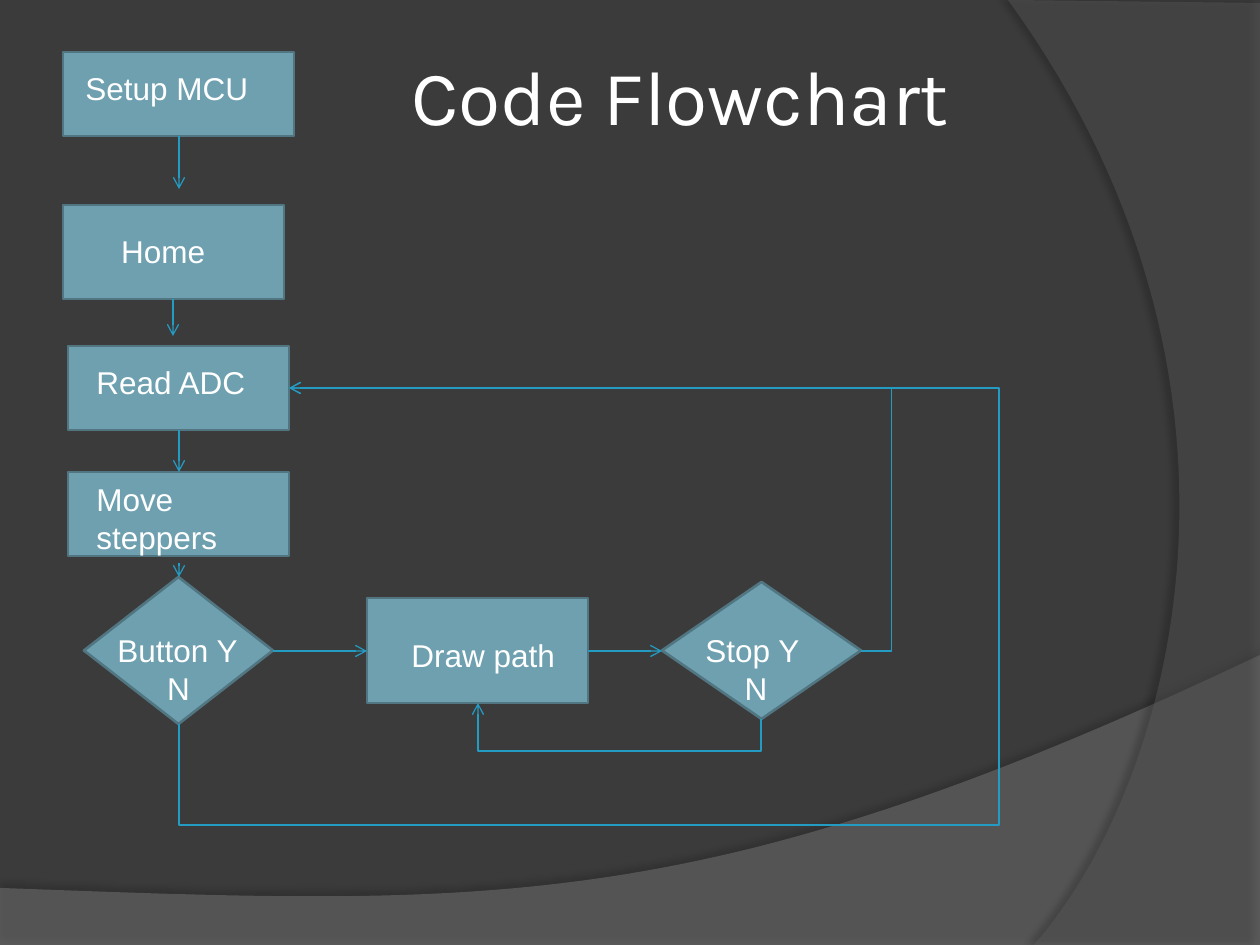
import pptx
import pptx.util
import pptx.dml.color
import pptx.enum.shapes
import pptx.enum.text
import pptx.oxml
from pptx.oxml.ns import nsdecls, qn
from lxml import etree

SCALE = 914400 / 126  # EMU per px
THEME = dict(bg="3B3B3B", box="6EA0B0", edge="517682", arrow="239BC2", text="FFFFFF",
             wave="7F7F7F", arc="5E5E5E", shadow="000000",
             body_font="Arial", body=18, title_font="Karla", title=44)

# Content: shape kind, shape box, text box, (line, centred) paragraphs
NODES = [
    ("RECTANGLE", (63, 52, 231, 84), (73, 63, 199, 53), [("Setup MCU", False)]),
    ("RECTANGLE", (63, 205, 221, 94), (73, 226, 189, 53), [("Home ", True)]),
    ("RECTANGLE", (68, 346, 221, 84), (84, 357, 189, 53), [("Read ADC", False)]),
    ("RECTANGLE", (68, 472, 221, 84), (84, 474, 189, 89), [("Move steppers", False)]),
    ("FLOWCHART_DECISION", (84, 577, 189, 147), (105, 625, 147, 89),
     [("Button Y", False), ("N", True)]),
    ("RECTANGLE", (367, 598, 221, 105), (399, 630, 231, 50), [("Draw path", False)]),
    ("FLOWCHART_DECISION", (662, 582, 199, 137), (693, 625, 126, 89),
     [("Stop Y", False), ("N", True)]),
]
TITLE = ("Code Flowchart", (399, 42, 756, 106))

# Arrow routes: every corner from start to head
ROUTES = [
    [(179, 136), (179, 189)],
    [(173, 299), (173, 336)],
    [(179, 430), (179, 472)],
    [(179, 563), (179, 577)],
    [(273, 651), (367, 651)],
    [(588, 651), (662, 651)],
    [(761, 719), (761, 751), (478, 751), (478, 703)],
    [(861, 651), (892, 651), (892, 388), (289, 388)],
    [(179, 724), (179, 825), (999, 825), (999, 388), (289, 388)],
]

# Backdrop: straight corners, Bezier curve, fill, opacity %, shadow (opacity %, pt, pt, degrees)
BACKDROP = [
    ([(0, 946), (1260, 946)], [(1260, 655), (704, 919), (493, 906), (0, 888)],
     "wave", 45, (35, 4, 3.5, 270)),
    ([(1260, 3), (1260, 945)], [(1034, 945), (1178, 780), (1283, 378), (1008, 0)],
     "arc", 40, (45, 4, 4, 180)),
]


def emu(px):
    return pptx.util.Emu(round(px * SCALE))


def rgb(name):
    return pptx.dml.color.RGBColor.from_string(THEME[name])


def bezier(a, b, c, d, steps=60):
    for i in range(steps + 1):
        t = i / steps
        u = 1 - t
        yield tuple(u**3 * p + 3 * u * u * t * q + 3 * u * t * t * r + t**3 * v
                    for p, q, r, v in zip(a, b, c, d))


def add_backdrop(s, corners, curve, color, opacity, shadow):
    points = [(round(x * SCALE), round(y * SCALE)) for x, y in [*corners, *bezier(*curve)]]
    fb = s.shapes.build_freeform(*points[0], scale=1.0)
    fb.add_line_segments(points[1:], close=True)
    sp = fb.convert_to_shape()
    sp.fill.solid()
    sp.fill.fore_color.rgb = rgb(color)
    sp.line.fill.background()
    clr = sp._element.spPr.find(qn("a:solidFill"))[0]
    etree.SubElement(clr, qn("a:alpha"), val=str(opacity * 1000))
    alpha, blur, dist, angle = shadow
    sp._element.spPr.append(pptx.oxml.parse_xml(
        f'<a:effectLst {nsdecls("a")}><a:outerShdw blurRad="{blur * 12700}" '
        f'dist="{int(dist * 12700)}" dir="{angle * 60000}" algn="ctr" rotWithShape="0">'
        f'<a:srgbClr val="{THEME["shadow"]}"><a:alpha val="{alpha * 1000}"/></a:srgbClr>'
        f'</a:outerShdw></a:effectLst>'))


def add_text(s, box, lines, style):
    tf = s.shapes.add_textbox(*map(emu, box)).text_frame
    tf.word_wrap = True
    for i, (line, centred) in enumerate(lines):
        p = tf.add_paragraph() if i else tf.paragraphs[0]
        p.text = line
        p.font.name = THEME[style + "_font"]
        p.font.size = pptx.util.Pt(THEME[style])
        p.font.color.rgb = rgb("text")
        if centred:
            p.alignment = pptx.enum.text.PP_ALIGN.CENTER


def add_node(s, kind, box, text_box, lines):
    sp = s.shapes.add_shape(pptx.enum.shapes.MSO_SHAPE[kind], *map(emu, box))
    sp.shadow.inherit = False
    sp.fill.solid()
    sp.fill.fore_color.rgb = rgb("box")
    sp.line.color.rgb = rgb("edge")
    sp.line.width = pptx.util.Pt(1.5)
    add_text(s, text_box, lines, "body")


def bend(c, route):
    """Shape an elbow connector so that it turns at the route's inner corners."""
    (x0, y0), (x1, y1) = route[0], route[-1]
    w, h = abs(x1 - x0), abs(y1 - y0)
    flips = {"flipH": x1 < x0, "flipV": y1 < y0}
    xfrm = c._element.spPr.find(qn("a:xfrm"))
    axis = 0
    if route[1][0] == x0:  # leaves vertically: quarter turn about the centre
        axis = 1
        flips = {"flipH": y1 < y0, "flipV": x1 > x0}
        cx, cy = (x0 + x1) / 2, (y0 + y1) / 2
        c.left, c.top, c.width, c.height = map(emu, (cx - h / 2, cy - w / 2, h, w))
        xfrm.set("rot", "5400000")
    for name, on in flips.items():
        xfrm.set(name, str(int(on)))
    geom = c._element.spPr.find(qn("a:prstGeom"))
    geom.set("prst", f"bentConnector{len(route) - 1}")
    guides = geom.find(qn("a:avLst"))
    for i, corner in enumerate(route[1:-2], 1):
        share = (corner[axis] - route[0][axis]) / (route[-1][axis] - route[0][axis])
        etree.SubElement(guides, qn("a:gd"), name=f"adj{i}", fmla=f"val {round(share * 100000)}")
        axis = 1 - axis


def add_arrow(s, route):
    kinds = pptx.enum.shapes.MSO_CONNECTOR
    bent = len(route) > 2
    c = s.shapes.add_connector(kinds.ELBOW if bent else kinds.STRAIGHT,
                               *map(emu, route[0] + route[-1]))
    if bent:
        bend(c, route)
    c.line.color.rgb = rgb("arrow")
    c.line.width = pptx.util.Pt(0.75)
    spPr = c._element.spPr
    etree.SubElement(spPr.find(qn("a:ln")), qn("a:tailEnd"), type="arrow")
    etree.SubElement(spPr, qn("a:effectLst"))


def main():
    prs = pptx.Presentation()
    prs.slide_width, prs.slide_height = emu(1260), emu(945)
    s = prs.slides.add_slide(prs.slide_layouts[6])
    s.background.fill.solid()
    s.background.fill.fore_color.rgb = rgb("bg")

    for part in BACKDROP:
        add_backdrop(s, *part)
    for node in NODES:
        add_node(s, *node)
    for route in ROUTES:
        add_arrow(s, route)
    title, box = TITLE
    add_text(s, box, [(title, False)], "title")
    prs.save("out.pptx")


if __name__ == "__main__":
    main()
